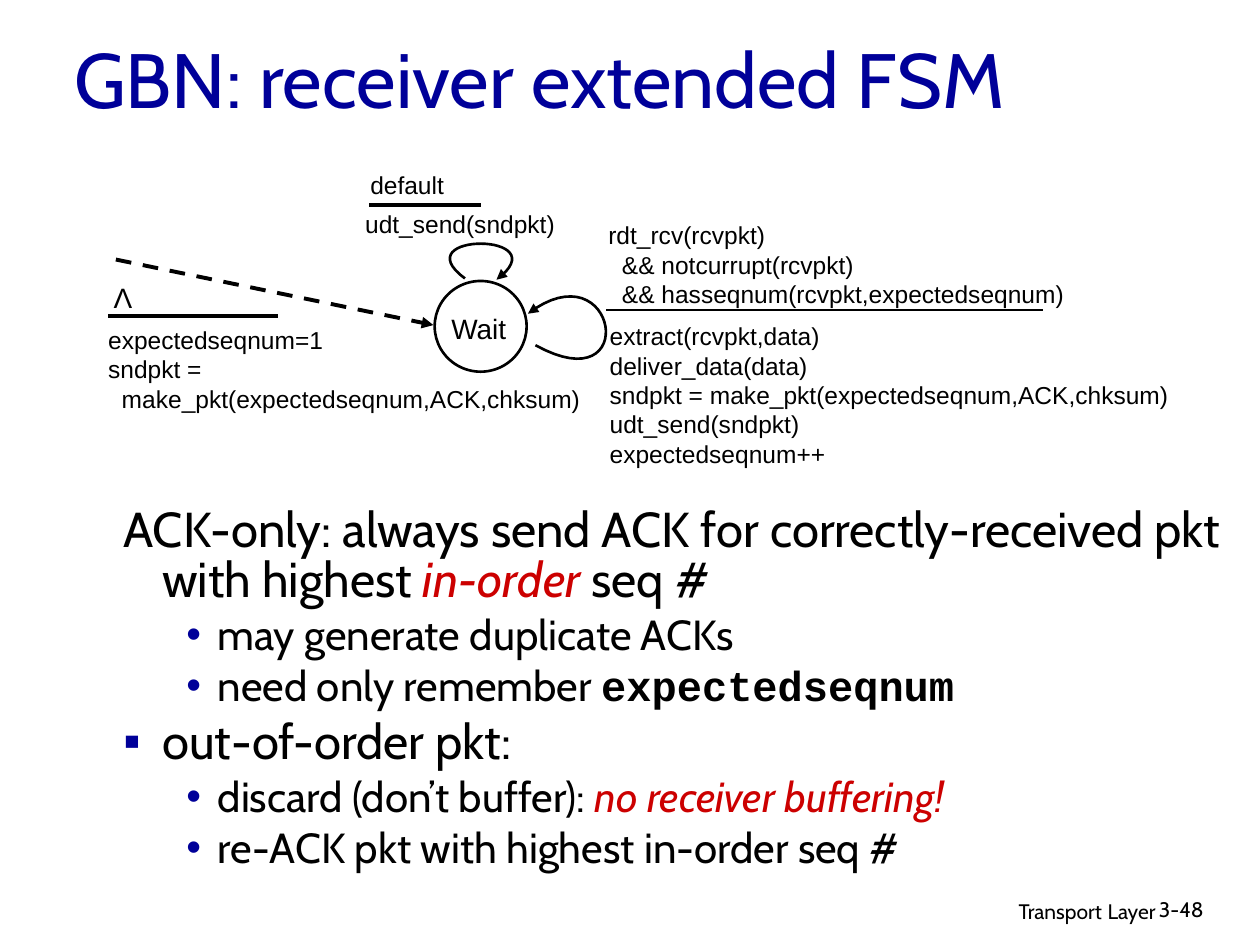
"""Build the slide on the Go-Back-N receiver state machine."""
from dataclasses import dataclass

from lxml.etree import SubElement as Sub
from pptx import Presentation as Deck
from pptx.dml.color import RGBColor as Color
from pptx.enum.dml import MSO_LINE as Dash
from pptx.enum.shapes import MSO_CONNECTOR as Link, MSO_SHAPE as Kind
from pptx.enum.text import MSO_ANCHOR as Anchor, PP_ALIGN as Align
from pptx.oxml.ns import qn
from pptx.util import Emu, Pt

UNIT = 9144


@dataclass(frozen=True)
class Theme:
    ink: str = "000000"
    blue: str = "000099"
    red: str = "CC0000"
    paper: str = "FFFFFF"
    sans: str = "Arial"
    main: str = "Cabin"
    mono: str = "Courier New"
    title: int = 44
    head: int = 28
    item: int = 24
    state: int = 16
    code: int = 14
    foot: int = 12
    thin: float = 1.5
    thick: float = 2.25


def px(*vals):
    return [Emu(round(val * UNIT)) for val in vals]


def put(thing, vals):
    for key, val in vals.items():
        setattr(thing, key, val)


class Page:
    def __init__(self, theme, wide, high):
        self.theme = theme
        self.deck = Deck()
        put(self.deck, dict(zip(("slide_width", "slide_height"), px(wide, high))))
        self.slide = self.deck.slides.add_slide(self.deck.slide_layouts[6])

    def run(self, para, text, size, face=None, tint=None, **form):
        run = para.add_run()
        run.text = text
        put(run.font, {"size": Pt(size), "name": face or self.theme.main, **form})
        run.font.color.rgb = Color.from_string(tint or self.theme.ink)

    def box(self, *spot, wrap=True, anchor=Anchor.TOP):
        frame = self.slide.shapes.add_textbox(*px(*spot)).text_frame
        put(frame, {"word_wrap": wrap, "vertical_anchor": anchor})
        return frame

    def label(self, spot, lines, size, face=None, tint=None, align=Align.LEFT, **form):
        frame = self.box(*spot, **form)
        for num, line in enumerate(lines):
            para = frame.add_paragraph() if num else frame.paragraphs[0]
            para.alignment = align
            self.run(para, line, size, face, tint)

    def list(self, spot, rows):
        frame = self.box(*spot)
        for num, (level, mark, runs) in enumerate(rows):
            para = frame.add_paragraph() if num else frame.paragraphs[0]
            size = self.theme.item if level else self.theme.head
            left, hang = px(75, -25) if level else px(31, -31)
            props = para._p.get_or_add_pPr()
            props.set("marL", str(left))
            props.set("indent", str(hang))
            if mark:
                Sub(Sub(props, qn("a:buClr")), qn("a:srgbClr"), val=self.theme.blue)
                Sub(props, qn("a:buFont"), typeface=self.theme.sans)
                Sub(props, qn("a:buChar"), char=mark)
            put(para, {"level": level, "line_spacing": 0.85,
                       "space_before": Pt(size * 0.2 if num else 0)})
            for text, form in runs:
                self.run(para, text, size, **form)

    def ink(self, shape, width, dash=None, head=False):
        put(shape.line, {"width": Pt(width), "dash_style": dash})
        shape.line.color.rgb = Color.from_string(self.theme.ink)
        if head:
            Sub(shape.element.spPr.get_or_add_ln(), qn("a:tailEnd"), type="triangle")

    def line(self, spot, width, **form):
        link = self.slide.shapes.add_connector(Link.STRAIGHT, *px(*spot))
        self.ink(link, width, **form)
        Sub(link.element.spPr, qn("a:effectLst"))

    def disc(self, *spot):
        disc = self.slide.shapes.add_shape(Kind.OVAL, *px(*spot))
        disc.shadow.inherit = False
        disc.fill.solid()
        disc.fill.fore_color.rgb = Color.from_string(self.theme.paper)
        self.ink(disc, self.theme.thin)

    def loop(self, *knots, steps=32):
        dots = []
        for step in range(steps + 1):
            t = step / steps
            s = 1 - t
            rates = s ** 3, 3 * s * s * t, 3 * s * t * t, t ** 3
            dots.append(px(*(sum(r * v for r, v in zip(rates, axis))
                             for axis in zip(*knots))))
        pen = self.slide.shapes.build_freeform(*dots[0])
        pen.add_line_segments(dots[1:], close=False)
        curve = pen.convert_to_shape()
        curve.shadow.inherit = False
        curve.fill.background()
        self.ink(curve, self.theme.thin, head=True)


def main():
    look = Theme()
    page = Page(look, 1000, 750)
    code = {"size": look.code, "face": look.sans}
    state = {"size": look.state, "face": look.sans, "align": Align.CENTER}
    warn = {"tint": look.red, "italic": True}

    foot = page.box(610, 705, 317, 31).paragraphs[0]
    foot.alignment = Align.RIGHT
    for text, size in (("Transport", look.foot), (" ", look.code), ("Layer", look.foot)):
        page.run(foot, text, size)
    page.label((910, 707, 74, 30), ["3-48"], look.foot)

    page.list((88, 398, 891, 312), [
        (0, "", [("ACK-only: always send ACK for correctly-received pkt with highest ", {}),
                 ("in-order", warn), (" seq #", {})]),
        (1, "•", [("may generate duplicate ACKs", {})]),
        (1, "•", [("need only remember ", {}),
                  ("expectedseqnum", {"face": look.mono, "bold": True})]),
        (0, "▪", [("out-of-order pkt:", {})]),
        (1, "•", [("discard (don’t buffer): ", {}), ("no receiver buffering!", warn)]),
        (1, "•", [("re-ACK pkt with highest in-order seq #", {})]),
    ])

    page.disc(345, 223, 73, 72)
    page.label((336, 242, 88, 26), ["Wait"], **state)
    page.line((92, 206, 344, 258), look.thick, dash=Dash.DASH, head=True)

    page.label((280, 161, 177, 34), ["udt_send(sndpkt)"], **code)
    page.label((284, 130, 79, 27), ["default"], **code)
    page.line((293, 163, 382, 163), look.thick)
    page.loop((369, 221), (319, 184), (445, 184), (394, 222))

    page.loop((425, 274), (510, 321), (490, 195), (419, 249))
    page.label((473, 170, 390, 62), [
        "rdt_rcv(rcvpkt)",
        "  && notcurrupt(rcvpkt)",
        "  && hasseqnum(rcvpkt,expectedseqnum)"], **code)
    page.line((481, 246, 828, 246), look.thin)
    page.label((474, 250, 472, 94), [
        "extract(rcvpkt,data)",
        "deliver_data(data)",
        "sndpkt = make_pkt(expectedseqnum,ACK,chksum)",
        "udt_send(sndpkt)",
        "expectedseqnum++"], **code)

    page.line((86, 251, 221, 251), look.thick)
    page.label((76, 253, 398, 107), [
        "expectedseqnum=1",
        "sndpkt =",
        "  make_pkt(expectedseqnum,ACK,chksum)"], **code)
    page.label((80, 218, 35, 37), ["Λ"], wrap=False, **state)

    page.label((49, 23, 850, 77), ["GBN: receiver extended FSM"], look.title,
               tint=look.blue, anchor=Anchor.MIDDLE)
    page.deck.save("out.pptx")


if __name__ == "__main__":
    main()
